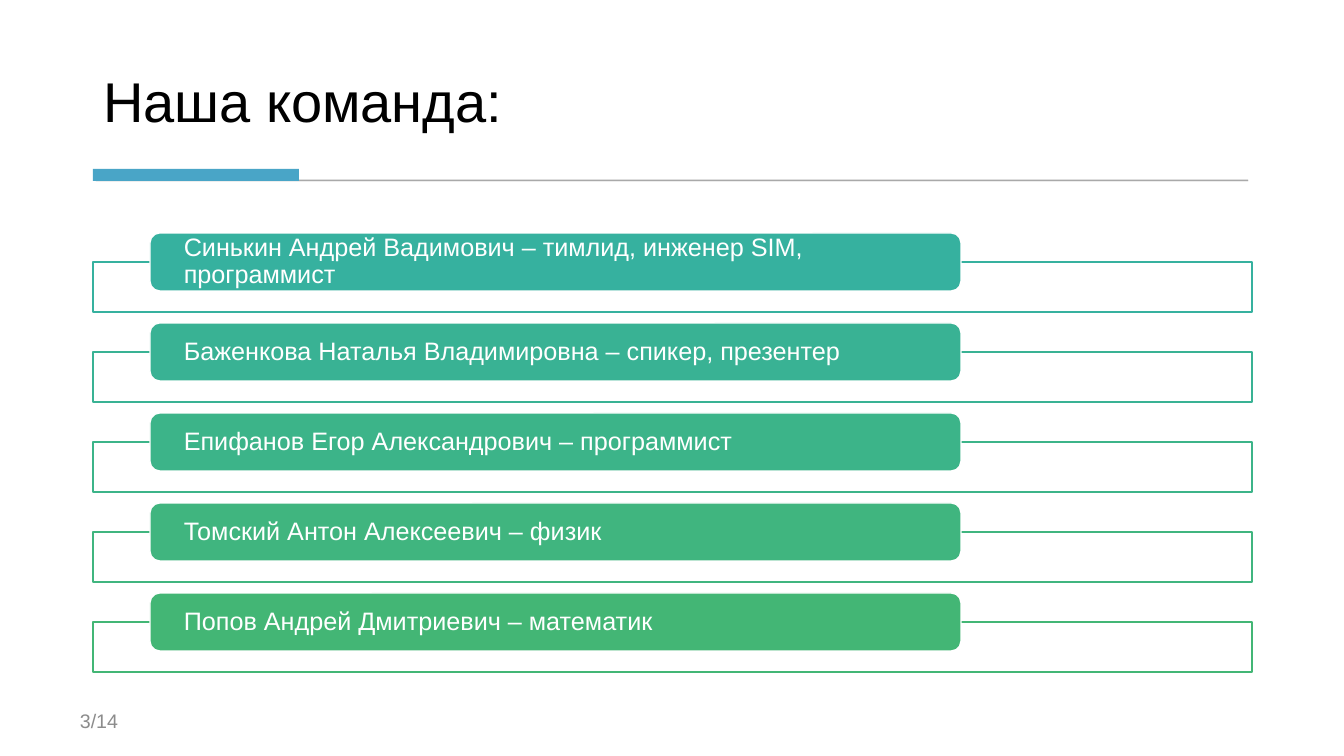
"""Builds the team slide: a ruled title above five overlapping member cards."""
import dataclasses

import pptx
import pptx.dml.color
import pptx.enum.shapes
import pptx.enum.text
import pptx.oxml
import pptx.oxml.ns
import pptx.util

EMU_PER_PX = 914400 / 100.8
SHAPES = pptx.enum.shapes.MSO_SHAPE
ANCHOR = pptx.enum.text.MSO_ANCHOR


@dataclasses.dataclass(frozen=True)
class Theme:
    """Colours, font and type sizes of the slide."""
    font: str = "Arial"
    title_size: int = 40
    card_size: int = 18
    footer_size: int = 14
    ink: str = "000000"
    paper: str = "FFFFFF"
    rule: str = "595959"
    accent: str = "49A5C7"
    footer: str = "8C8C8C"
    cards: tuple = ("36B19F", "39B294", "3CB489", "40B57F", "43B675")


THEME = Theme()
TEAM = (
    "Синькин Андрей Вадимович – тимлид, инженер SIM, программист",
    "Баженкова Наталья Владимировна – спикер, презентер",
    "Епифанов Егор Александрович – программист",
    "Томский Антон Алексеевич – физик",
    "Попов Андрей Дмитриевич – математик",
)
FIRST_CARD_TOP = 233
CARD_PITCH = 90


def px(length):
    """Turn pixels into EMU."""
    return pptx.util.Emu(round(length * EMU_PER_PX))


def rgb(colour):
    """Turn a hex string into a colour."""
    return pptx.dml.color.RGBColor.from_string(colour)


def add_block(page, kind, box, fill, line=None, width=1):
    """Add a filled preset shape with an optional outline."""
    shape = page.shapes.add_shape(kind, *map(px, box))
    shape.shadow.inherit = False
    shape.fill.solid()
    shape.fill.fore_color.rgb = rgb(fill)
    if line:
        shape.line.color.rgb = rgb(line)
        shape.line.width = pptx.util.Pt(width)
    else:
        shape.line.fill.background()
    return shape


def set_opacity(shape, percent):
    """Make the fill and outline of a shape partly transparent."""
    for colour in shape._element.spPr.iter(pptx.oxml.ns.qn("a:srgbClr")):
        alpha = pptx.oxml.parse_xml(f'<a:alpha {pptx.oxml.ns.nsdecls("a")} val="{percent * 1000}"/>')
        colour.append(alpha)


def write_text(shape, text, size, colour, anchor, spacing=1.0):
    """Write one left-aligned paragraph into a shape."""
    frame = shape.text_frame
    frame.text = text
    frame.word_wrap = True
    frame.auto_size = pptx.enum.text.MSO_AUTO_SIZE.NONE
    frame.vertical_anchor = anchor
    para = frame.paragraphs[0]
    para.alignment = pptx.enum.text.PP_ALIGN.LEFT
    para.line_spacing = spacing
    for span in para.runs:
        span.font.name = THEME.font
        span.font.size = pptx.util.Pt(size)
        span.font.color.rgb = rgb(colour)


def add_title(page, text):
    """Place the title and the two-part rule beneath it."""
    title = page.shapes.title
    title.left, title.top, title.width, title.height = map(px, (93, 28, 1158, 112))
    write_text(title, text, THEME.title_size, THEME.ink, ANCHOR.BOTTOM, 0.9)
    rule = add_block(page, SHAPES.RECTANGLE, (96, 180, 1152, 1), THEME.rule, THEME.rule, 0.75)
    set_opacity(rule, 30)
    add_block(page, SHAPES.RECTANGLE, (93, 169, 206, 12), THEME.accent)


def add_member(page, text, top, colour):
    """Add an outlined frame with a member card overlapping its top edge."""
    add_block(page, SHAPES.RECTANGLE, (93, top + 29, 1159, 50), THEME.paper, colour)
    card = add_block(page, SHAPES.ROUNDED_RECTANGLE, (150, top, 811, 58),
                     colour, THEME.paper)
    frame = card.text_frame
    frame.margin_left = frame.margin_right = px(31)
    frame.margin_top = frame.margin_bottom = 0
    write_text(card, text, THEME.card_size, THEME.paper, ANCHOR.MIDDLE, 0.9)


def add_page_number(page, text):
    """Add the page counter at the lower left."""
    box = page.shapes.add_textbox(*map(px, (70, 701, 302, 40)))
    write_text(box, text, THEME.footer_size, THEME.footer, ANCHOR.MIDDLE)


def main():
    """Build and save the slide."""
    deck = pptx.Presentation()
    deck.slide_width, deck.slide_height = px(1344), px(756)
    page = deck.slides.add_slide(deck.slide_layouts.get_by_name("Title Only"))
    add_title(page, "Наша команда:")
    for index, (member, colour) in enumerate(zip(TEAM, THEME.cards)):
        add_member(page, member, FIRST_CARD_TOP + index * CARD_PITCH, colour)
    add_page_number(page, "3/14")
    deck.save("out.pptx")


if __name__ == "__main__":
    main()
